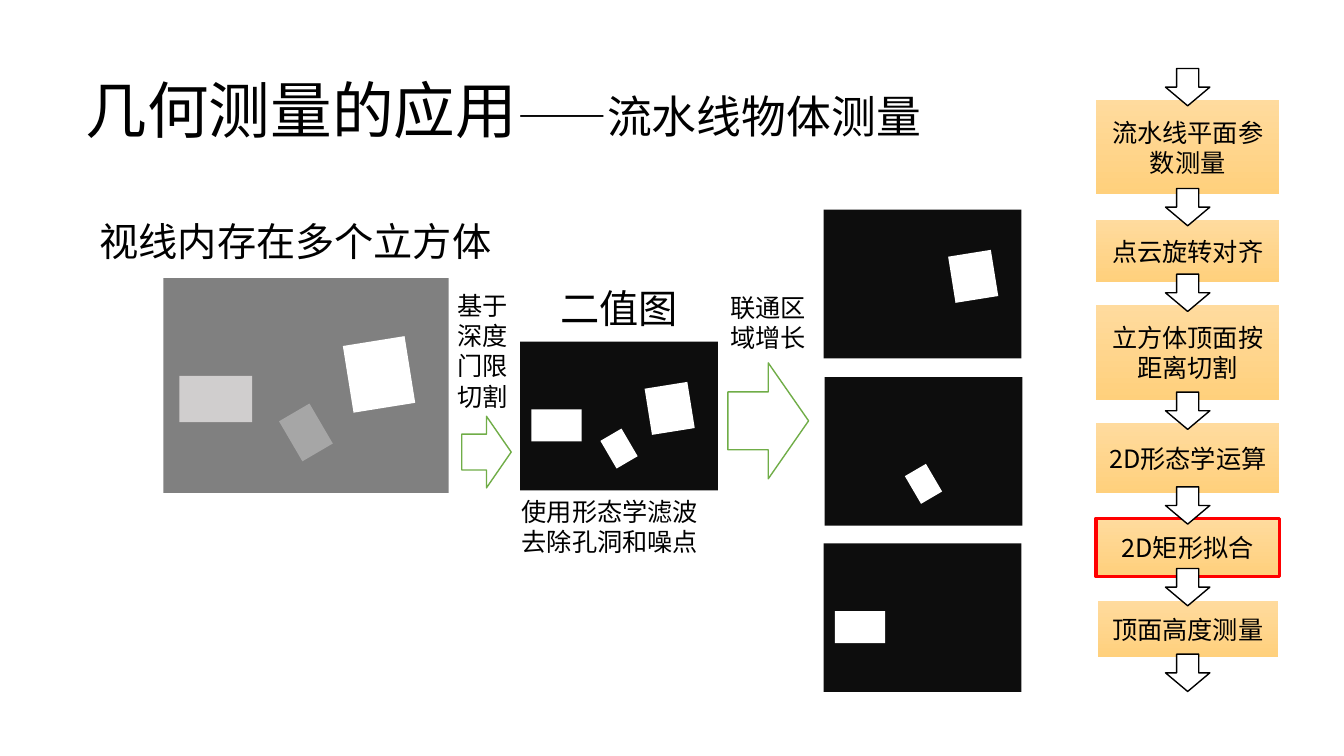
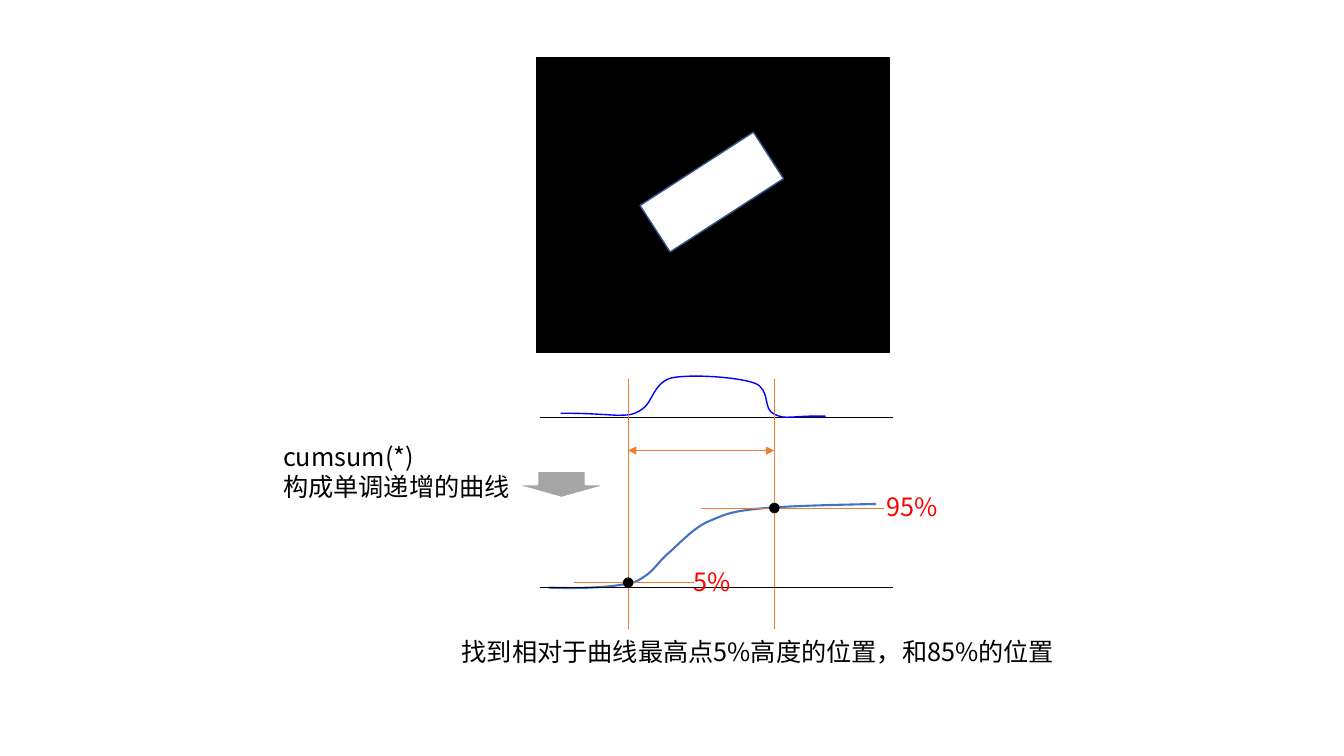
from pptx import Presentation
from pptx.dml.color import RGBColor
from pptx.enum.shapes import MSO_CONNECTOR, MSO_SHAPE
from pptx.enum.text import MSO_ANCHOR, MSO_AUTO_SIZE, PP_ALIGN
from pptx.oxml.ns import qn
from pptx.util import Inches, Pt
from lxml import etree

RECTANGLE, OVAL = MSO_SHAPE.RECTANGLE, MSO_SHAPE.OVAL
DOWN_ARROW, RIGHT_ARROW = MSO_SHAPE.DOWN_ARROW, MSO_SHAPE.RIGHT_ARROW
STRAIGHT = MSO_CONNECTOR.STRAIGHT
LEFT, CENTER = PP_ALIGN.LEFT, PP_ALIGN.CENTER
MIDDLE = MSO_ANCHOR.MIDDLE
FIT_TEXT = MSO_AUTO_SIZE.SHAPE_TO_FIT_TEXT
TITLE_ONLY, BLANK = 5, 6

THEME = {
    "font": "Noto Sans CJK SC",
    "title": 44, "subtitle": 32, "heading": 28, "body": 18,
    "black": "000000", "white": "FFFFFF", "red": "FF0000",
    "step_top": "FFDB9E", "step_bottom": "FFD07C",
    "depth": "808080", "binary": "0D0D0D",
    "near": "FFFFFF", "middle": "D0CECE", "far": "A6A6A6",
    "green": "70AD47", "orange": "ED7D31", "gray": "A5A5A5",
    "pulse": "0000FF", "cumulative": "4472C4", "outline": "325491",
}

# Slide 1: (text, top, height, outline colour)
STEP_LEFT, STEP_WIDTH = 10.87, 1.82
STEPS = [
    ("流水线平面参数测量", 0.99, 0.94, None),
    ("点云旋转对齐", 2.18, 0.62, None),
    ("立方体顶面按距离切割", 3.03, 0.94, None),
    ("2D形态学运算", 4.2, 0.69, None),
    ("2D矩形拟合", 5.14, 0.58, "red"),
    ("顶面高度测量", 5.95, 0.58, "white"),
]
STEP_ARROW = (0.44, 0.37)
ARROW_LEAD, ARROW_OVERLAP = 0.31, 0.04

# Cubes on a 2.83 by 2.13 view: left, top, width, height, rotation, depth colour
VIEW = (2.83, 2.13)
CUBES = {
    "flat": (0.16, 0.97, 0.72, 0.46, 0, "middle"),
    "small": (1.24, 1.3, 0.35, 0.46, 329.7, "far"),
    "large": (1.83, 0.62, 0.62, 0.67, 350.9, "near"),
}
BINARY_SCALE = 1.96 / VIEW[0]
# (left, top, scale, background, cubes)
SCENES = [
    (1.62, 2.76, 1, "depth", CUBES),
    (5.16, 3.39, BINARY_SCALE, "binary", CUBES),
    (8.17, 2.08, BINARY_SCALE, "binary", ["large"]),
    (8.18, 3.74, BINARY_SCALE, "binary", ["small"]),
    (8.17, 5.39, BINARY_SCALE, "binary", ["flat"]),
]
FLOW_ARROWS = [(4.58, 4.13, 0.49, 0.71), (7.22, 3.6, 0.8, 1.15)]
# (lines, box, size, colour, alignment)
PIPELINE_LABELS = [
    (["视线内存在多个立方体"], (0.89, 2.11, 4.39, 0.57), "heading", "black", LEFT),
    (["二值图"], (5.16, 2.77, 1.96, 0.57), "heading", "black", CENTER),
    (["基于深度门限切割"], (4.36, 2.83, 0.85, 1.31), "body", "black", CENTER),
    (["使用形态学滤波去除孔洞和噪点"], (5.05, 4.87, 2, 0.71), "body", "black", CENTER),
    (["联通区域增长"], (7.09, 2.85, 1.06, 0.71), "body", "black", CENTER),
]

# Slide 2
AXIS_LEFT, AXIS_RIGHT = 5.36, 8.86
PULSE_AXIS, CUMULATIVE_AXIS = 4.14, 5.83
LOW, HIGH = (6.23, 5.78), (7.68, 5.04)
GUIDE_TOP, GUIDE_BOTTOM, SPAN_Y = 3.76, 6.24, 4.47
DOT = 0.09
PULSE = [
    (8.19, 4.13), (7.85, 4.12), (7.8, 4.17), (7.68, 4.11),
    (7.56, 4.06), (7.65, 3.86), (7.48, 3.8), (7.31, 3.74), (6.85, 3.71), (6.66, 3.75),
    (6.48, 3.8), (6.47, 4), (6.37, 4.06), (6.28, 4.12), (6.24, 4.12), (6.11, 4.12),
    (5.93, 4.11), (5.8, 4.1), (5.56, 4.1),
]
CUMULATIVE = [
    (5.44, 5.83), (5.72, 5.84), (6, 5.83), (6.17, 5.8),
    (6.33, 5.78), (6.34, 5.75), (6.42, 5.7), (6.5, 5.64), (6.55, 5.55), (6.65, 5.47),
    (6.75, 5.38), (6.87, 5.25), (7.01, 5.18), (7.16, 5.12), (7.21, 5.08), (7.49, 5.05),
    (7.77, 5.02), (8.23, 5.01), (8.69, 5),
]
CURVE_LABELS = [
    (["95%"], (8.69, 4.83, 0.96, 0.4), "body", "red", LEFT),
    (["5%"], (6.78, 5.57, 0.96, 0.4), "body", "red", LEFT),
    (["cumsum(*)", "构成单调递增的曲线"], (2.71, 4.33, 2.55, 0.71), "body", "black", LEFT),
    (["找到相对于曲线最高点5%高度的位置，和85%的位置"],
     (4.48, 6.26, 6.31, 0.4), "body", "black", LEFT),
]


def color(name):
    return RGBColor.from_string(THEME[name])


def inches(values):
    return [Inches(value) for value in values]


def style_run(run, size, color_name):
    run.font.size = Pt(THEME[size])
    run.font.color.rgb = color(color_name)
    run.font.name = THEME["font"]
    east_asian = etree.SubElement(run.font._element, qn("a:ea"))
    east_asian.set("typeface", THEME["font"])


def write(text_frame, lines, size, color_name, alignment):
    text_frame.word_wrap = True
    text_frame.text = "\n".join(lines)
    for paragraph in text_frame.paragraphs:
        paragraph.alignment = alignment
        for run in paragraph.runs:
            style_run(run, size, color_name)


def add_labels(slide, labels):
    for lines, box, size, color_name, alignment in labels:
        text_frame = slide.shapes.add_textbox(*inches(box)).text_frame
        write(text_frame, lines, size, color_name, alignment)
        text_frame.auto_size = FIT_TEXT


def set_line(shape, color_name, width):
    if color_name is None:
        shape.line.fill.background()
    else:
        shape.line.color.rgb = color(color_name)
        shape.line.width = Pt(width)


def add_figure(shapes, kind, box, fill, line=None, width=1, rotation=0):
    shape = shapes.add_shape(kind, *inches(box))
    shape.shadow.inherit = False
    shape.rotation = rotation
    shape.fill.solid()
    shape.fill.fore_color.rgb = color(fill)
    set_line(shape, line, width)
    return shape


def add_line(slide, start, end, color_name, width, arrowheads=False):
    connector = slide.shapes.add_connector(STRAIGHT, *inches(start + end))
    set_line(connector, color_name, width)
    properties = connector._element.spPr
    if arrowheads:
        outline = properties.find(qn("a:ln"))
        for tag in ("a:headEnd", "a:tailEnd"):
            etree.SubElement(outline, qn(tag)).set("type", "triangle")
    etree.SubElement(properties, qn("a:effectLst"))


def add_curve(slide, points, color_name, width):
    """Draw a start point followed by triples of cubic Bézier points."""
    start, *rest = [tuple(inches(point)) for point in points]
    builder = slide.shapes.build_freeform(*start)
    builder.add_line_segments(rest, close=False)
    curve = builder.convert_to_shape()
    curve.shadow.inherit = False
    curve.fill.background()
    set_line(curve, color_name, width)
    segments = list(curve._element.iter(qn("a:lnTo")))
    outline = segments[0].getparent()
    for first in range(0, len(segments), 3):
        bezier = etree.SubElement(outline, qn("a:cubicBezTo"))
        for segment in segments[first:first + 3]:
            bezier.append(segment[0])
            outline.remove(segment)


def add_title(slide, parts):
    title = slide.shapes.title
    title.left, title.top, title.width, title.height = inches((0.75, 0.4, 11.67, 1.45))
    title.text_frame.vertical_anchor = MIDDLE
    paragraph = title.text_frame.paragraphs[0]
    paragraph.alignment = LEFT
    paragraph.line_spacing = 0.9
    for text, size in parts:
        run = paragraph.add_run()
        run.text = text
        style_run(run, size, "black")


def add_steps(slide):
    for text, top, height, outline in STEPS:
        box = (STEP_LEFT, top, STEP_WIDTH, height)
        step = add_figure(slide.shapes, RECTANGLE, box, "step_top", outline, 2.25)
        step.fill.gradient()
        step.fill.gradient_angle = 270
        for stop, name in zip(step.fill.gradient_stops, ("step_top", "step_bottom")):
            stop.color.rgb = color(name)
        step.text_frame.vertical_anchor = MIDDLE
        write(step.text_frame, [text], "body", "black", CENTER)
    arrow_left = STEP_LEFT + (STEP_WIDTH - STEP_ARROW[0]) / 2
    arrow_tops = [top - ARROW_LEAD for _, top, _, _ in STEPS]
    arrow_tops.append(STEPS[-1][1] + STEPS[-1][2] - ARROW_OVERLAP)
    for top in arrow_tops:
        add_figure(slide.shapes, DOWN_ARROW, (arrow_left, top, *STEP_ARROW), "white", "black")


def add_scene(slide, left, top, scale, background, cubes):
    group = slide.shapes.add_group_shape()
    view = (left, top, VIEW[0] * scale, VIEW[1] * scale)
    add_figure(group.shapes, RECTANGLE, view, background)
    for name in cubes:
        x, y, width, height, rotation, depth_color = CUBES[name]
        box = (left + x * scale, top + y * scale, width * scale, height * scale)
        fill = depth_color if background == "depth" else "white"
        add_figure(group.shapes, RECTANGLE, box, fill, rotation=rotation)


def build_pipeline(presentation):
    slide = presentation.slides.add_slide(presentation.slide_layouts[TITLE_ONLY])
    add_title(slide, [("几何测量的应用", "title"), ("——流水线物体测量", "subtitle")])
    add_steps(slide)
    for scene in SCENES:
        add_scene(slide, *scene)
    for box in FLOW_ARROWS:
        add_figure(slide.shapes, RIGHT_ARROW, box, "white", "green")
    add_labels(slide, PIPELINE_LABELS)


def build_curves(presentation):
    slide = presentation.slides.add_slide(presentation.slide_layouts[BLANK])
    shapes = slide.shapes
    add_figure(shapes, RECTANGLE, (5.32, 0.57, 3.5, 2.93), "black", "black")
    add_figure(shapes, RECTANGLE, (6.39, 1.63, 1.34, 0.55), "white", "outline", rotation=327.1)

    add_line(slide, (AXIS_RIGHT, PULSE_AXIS), (AXIS_LEFT, PULSE_AXIS), "black", 1)
    add_curve(slide, PULSE, "pulse", 1)
    for x, _ in (LOW, HIGH):
        add_line(slide, (x, GUIDE_TOP), (x, GUIDE_BOTTOM), "orange", 0.5)
    add_line(slide, (LOW[0], SPAN_Y), (HIGH[0], SPAN_Y), "orange", 0.5, arrowheads=True)

    add_curve(slide, CUMULATIVE, "cumulative", 1.5)
    add_line(slide, (AXIS_RIGHT, CUMULATIVE_AXIS), (AXIS_LEFT, CUMULATIVE_AXIS), "black", 1)
    for (x, y), start, end in ((HIGH, 6.95, 8.77), (LOW, 5.69, 6.88)):
        add_line(slide, (start, y), (end, y), "orange", 0.5)
        add_figure(shapes, OVAL, (x - DOT / 2, y - DOT / 2, DOT, DOT), "black", "black")
    add_figure(shapes, DOWN_ARROW, (5.09, 4.67, 0.96, 0.27), "gray", "white", 1.5)
    add_labels(slide, CURVE_LABELS)


def main():
    presentation = Presentation()
    presentation.slide_width, presentation.slide_height = inches((13.33, 7.5))
    build_pipeline(presentation)
    build_curves(presentation)
    presentation.save("out.pptx")


if __name__ == "__main__":
    main()
